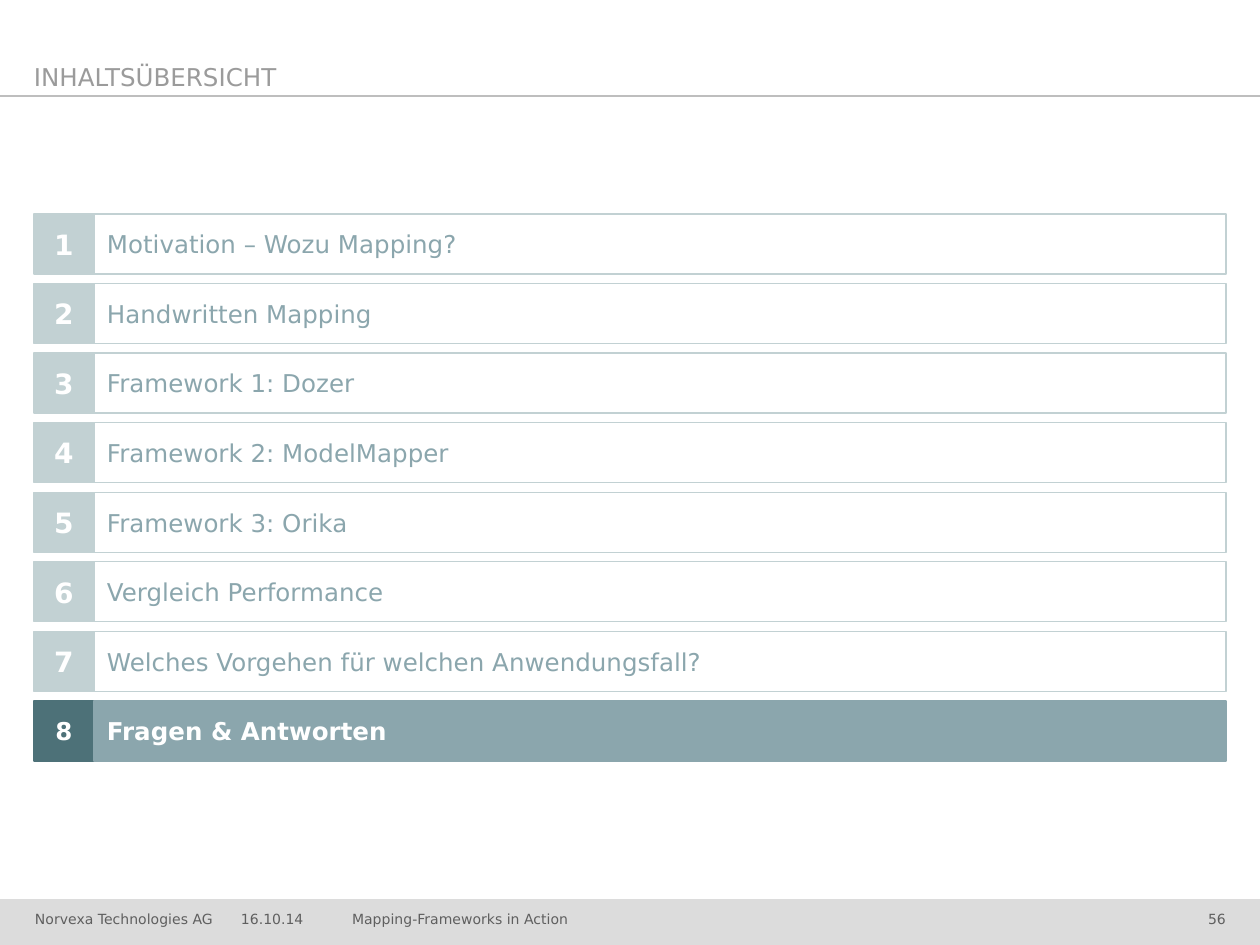
"""Build the agenda slide with its last chapter highlighted."""
from lxml.etree import SubElement
from pptx import Presentation
from pptx.dml.color import RGBColor
from pptx.enum.shapes import MSO_CONNECTOR as CONN, MSO_SHAPE as SHAPE
from pptx.enum.text import MSO_ANCHOR as ANCHOR, PP_ALIGN as ALIGN
from pptx.oxml.ns import qn
from pptx.util import Pt

TITLE = "INHALTSÜBERSICHT"
CHAPTERS = [
    "Motivation – Wozu Mapping?",
    "Handwritten Mapping",
    "Framework 1: Dozer",
    "Framework 2: ModelMapper",
    "Framework 3: Orika",
    "Vergleich Performance",
    "Welches Vorgehen für welchen Anwendungsfall?",
    "Fragen & Antworten",
]
ACTIVE = 8
FOOTER = [
    ("Norvexa Technologies AG", 35, 189, ALIGN.LEFT),
    ("16.10.14", 241, 101, ALIGN.LEFT),
    ("Mapping-Frameworks in Action", 352, 774, ALIGN.LEFT),
    ("56", 1136, 90, ALIGN.RIGHT),
]

FONT = "DejaVu Sans"
WHITE = RGBColor(0xFF, 0xFF, 0xFF)
DARK_TEAL = RGBColor(0x4D, 0x71, 0x78)
TEAL = RGBColor(0x8B, 0xA6, 0xAD)
PALE_TEAL = RGBColor(0xC2, 0xD1, 0xD3)
TITLE_GRAY = RGBColor(0x9B, 0x9B, 0x9B)
RULE_GRAY = RGBColor(0xBE, 0xBE, 0xBE)
FOOTER_GRAY = RGBColor(0x5F, 0x5F, 0x5F)
BAR_GRAY = RGBColor(0xDC, 0xDC, 0xDC)

WIDTH, HEIGHT = 1260, 945
LEFT, BODY_LEFT, RIGHT = 34, 94, 1226
FIRST_TOP, LAST_TOP, ROW_HEIGHT = 214, 701, 60
PITCH = (LAST_TOP - FIRST_TOP) / (len(CHAPTERS) - 1)
RULE_TOP, BAR_TOP, BAR_HEIGHT = 96, 899, 46


def px(n):
    return round(n * 914400 / 126)


def box(s, x, y, w, h):
    return s.shapes.add_textbox(px(x), px(y), px(w), px(h))


def rect(s, x, y, w, h, fill, line=None):
    sp = s.shapes.add_shape(SHAPE.RECTANGLE, px(x), px(y), px(w), px(h))
    sp.shadow.inherit = False
    sp.fill.solid()
    sp.fill.fore_color.rgb = fill
    if line is None:
        sp.line.fill.background()
    else:
        sp.line.color.rgb = line
        sp.line.width = Pt(0.75)
    return sp


def write(sp, text, size, color, insets, anchor, align=ALIGN.LEFT, bold=False):
    tf = sp.text_frame
    tf.word_wrap = True
    tf.vertical_anchor = anchor
    tf.margin_left, tf.margin_top, tf.margin_right, tf.margin_bottom = map(px, insets)
    p = tf.paragraphs[0]
    p.alignment = align
    r = p.add_run()
    r.text = text
    r.font.name = FONT
    r.font.size = Pt(size)
    r.font.bold = bold
    r.font.color.rgb = color


def add_rule(s):
    rule = s.shapes.add_connector(CONN.STRAIGHT, px(WIDTH), px(RULE_TOP), 0, px(RULE_TOP))
    rule.line.color.rgb = RULE_GRAY
    rule.line.width = Pt(0.75)
    SubElement(rule._element.spPr, qn("a:effectLst"))


def add_chapter(s, number, text):
    active = number == ACTIVE
    y = FIRST_TOP + (number - 1) * PITCH
    tag_color = DARK_TEAL if active else PALE_TEAL
    tag = rect(s, LEFT, y, BODY_LEFT - LEFT, ROW_HEIGHT, tag_color, tag_color)
    write(tag, str(number), 14 if active else 16, WHITE, (13, 6, 13, 6),
          ANCHOR.MIDDLE, ALIGN.CENTER, True)
    fill, line, color = (TEAL, TEAL, WHITE) if active else (WHITE, PALE_TEAL, TEAL)
    body = rect(s, BODY_LEFT, y, RIGHT - BODY_LEFT, ROW_HEIGHT, fill, line)
    write(body, text, 14, color, (13, 6, 5, 6), ANCHOR.MIDDLE, bold=active)


def main():
    prs = Presentation()
    prs.slide_width, prs.slide_height = px(WIDTH), px(HEIGHT)
    s = prs.slides.add_slide(prs.slide_layouts[6])
    rect(s, 0, BAR_TOP, WIDTH, BAR_HEIGHT, BAR_GRAY)
    add_rule(s)
    write(box(s, LEFT, 37, 942, 59), TITLE, 14, TITLE_GRAY, (0, 0, 0, 5), ANCHOR.BOTTOM)
    for text, x, w, align in FOOTER:
        write(box(s, x, BAR_TOP, w, BAR_HEIGHT), text, 8, FOOTER_GRAY,
              (0, 0, 0, 18), ANCHOR.BOTTOM, align)
    for number, text in enumerate(CHAPTERS, 1):
        add_chapter(s, number, text)
    prs.save("out.pptx")


if __name__ == "__main__":
    main()
